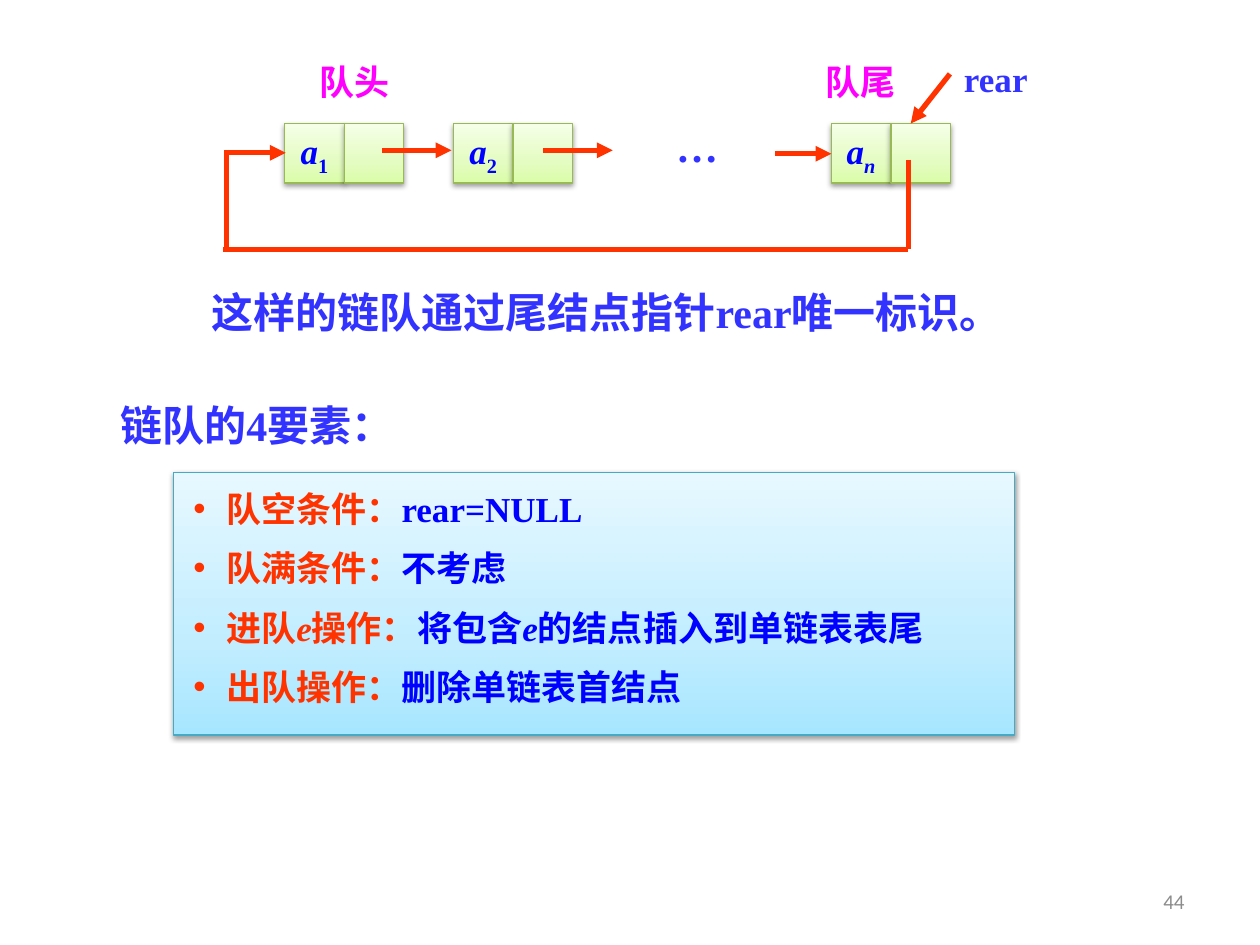
import pptx
import pptx.util
import pptx.oxml
import pptx.oxml.ns
from pptx.dml.color import RGBColor
from pptx.enum.shapes import MSO_CONNECTOR, MSO_SHAPE
from pptx.enum.text import MSO_ANCHOR, PP_ALIGN
from pptx.util import Cm, Pt

RED = RGBColor(0xFF, 0x33, 0x00)
BLUE = RGBColor(0x00, 0x00, 0xFF)
INDIGO = RGBColor(0x33, 0x33, 0xFF)
MAGENTA = RGBColor(0xFF, 0x00, 0xFF)
GRAY = RGBColor(0x8C, 0x8C, 0x8C)
GREEN_LINE = RGBColor(0x98, 0xB9, 0x55)
CYAN_LINE = RGBColor(0x46, 0xAA, 0xC5)
GREEN_STOPS = ("DAFDA7", "E4FCC2", "F5FFE7")
CYAN_STOPS = ("A7E6FF", "C1EDFF", "E7F8FF")
SERIF = "Times New Roman"

# All lengths are in centimetres.
CELL = 1.2
NODE_TOP = 2.49
NODES = [(5.74, "1", False), (9.14, "2", False), (16.76, "n", True)]

# start x, start y, end x, end y, arrowhead
LINKS = [
    (15.62, 3.1, 16.76, 3.1, True),
    (7.7, 3.03, 9.1, 3.03, True),
    (10.95, 3.03, 12.35, 3.03, True),
    (18.31, 3.22, 18.31, 5.01, False),
    (4.5, 5.03, 18.31, 5.03, False),
    (4.57, 3.02, 4.57, 5.05, False),
    (4.55, 3.08, 5.76, 3.08, True),
    (19.15, 1.49, 18.36, 2.49, True),
]

# text, left, top, width, height, size, colour, alignment
LABELS = [
    ("队头", 5.94, 1.09, 2.41, 1.1, 20, MAGENTA, PP_ALIGN.CENTER),
    ("队尾", 16.15, 1.09, 2.41, 1.1, 20, MAGENTA, PP_ALIGN.CENTER),
    ("rear", 18.97, 1.04, 2.21, 1.1, 20, INDIGO, PP_ALIGN.CENTER),
    ("…", 12.95, 2.31, 2.21, 1.28, 24, INDIGO, PP_ALIGN.CENTER),
    ("这样的链队通过尾结点指针rear唯一标识。", 3.23, 5.66, 18.0, 1.28, 24,
     INDIGO, PP_ALIGN.CENTER),
    ("链队的4要素：", 2.18, 7.92, 7.24, 1.28, 24, INDIGO, PP_ALIGN.LEFT),
]

# Each item is a list of (text, colour, italic).
ELEMENTS = [
    [(" 队空条件：", RED, False), ("rear=NULL", BLUE, False)],
    [(" 队满条件：", RED, False), ("不考虑", BLUE, False)],
    [(" 进队", RED, False), ("e", RED, True), ("操作：", RED, False),
     ("将包含", BLUE, False), ("e", BLUE, True),
     ("的结点插入到单链表表尾", BLUE, False)],
    [(" 出队操作：", RED, False), ("删除单链表首结点", BLUE, False)],
]


def parse_drawing(tag, content):
    namespace = pptx.oxml.ns.nsdecls("a")
    return pptx.oxml.parse_xml(f"<a:{tag} {namespace}>{content}</a:{tag}>")


def add_run(paragraph, text, size, color, italic=False, bold=True, name=SERIF):
    run = paragraph.add_run()
    run.text = text
    font = run.font
    font.name, font.size, font.bold, font.italic = name, Pt(size), bold, italic
    font.color.rgb = color
    return run


def add_panel(slide, left, top, width, height, stops, line_color):
    """Add a rectangle with a vertical gradient and a soft shadow below."""
    shape = slide.shapes.add_shape(
        MSO_SHAPE.RECTANGLE, Cm(left), Cm(top), Cm(width), Cm(height))
    shape.line.color.rgb = line_color
    shape.line.width = Pt(0.75)
    colors = "".join(
        f'<a:gs pos="{position}"><a:srgbClr val="{color}"/></a:gs>'
        for position, color in zip((0, 35000, 100000), stops))
    gradient = parse_drawing(
        "gradFill", f'<a:gsLst>{colors}</a:gsLst><a:lin ang="16200000" scaled="0"/>')
    shadow = parse_drawing(
        "effectLst",
        f'<a:outerShdw blurRad="{Pt(3.1)}" dist="{Pt(1.6)}" dir="5400000" '
        'rotWithShape="0"><a:srgbClr val="000000"><a:alpha val="38000"/>'
        '</a:srgbClr></a:outerShdw>')
    outline = shape.line._get_or_add_ln()
    outline.addprevious(gradient)
    outline.addnext(shadow)
    return shape


def add_node(slide, left, subscript, italic):
    """Add a data cell holding a with a subscript, and its pointer cell."""
    data, _ = [
        add_panel(slide, left + column * CELL, NODE_TOP, CELL, CELL,
                  GREEN_STOPS, GREEN_LINE)
        for column in range(2)]
    frame = data.text_frame
    frame.word_wrap = False
    frame.vertical_anchor = MSO_ANCHOR.MIDDLE
    paragraph = frame.paragraphs[0]
    paragraph.alignment = PP_ALIGN.CENTER
    add_run(paragraph, "a", 20, BLUE, italic=True)
    run = add_run(paragraph, subscript, 20, BLUE, italic=italic)
    run._r.get_or_add_rPr().set("baseline", "-25000")


def add_link(slide, start_x, start_y, end_x, end_y, arrow):
    connector = slide.shapes.add_connector(
        MSO_CONNECTOR.STRAIGHT, Cm(start_x), Cm(start_y), Cm(end_x), Cm(end_y))
    connector.line.color.rgb = RED
    connector.line.width = Pt(3)
    outline = connector.line._get_or_add_ln()
    if arrow:
        tail = parse_drawing("tailEnd", "")
        tail.set("type", "triangle")
        outline.append(tail)
    outline.addnext(parse_drawing("effectLst", ""))


def add_label(slide, text, left, top, width, height, size, color, alignment,
              **font):
    box = slide.shapes.add_textbox(Cm(left), Cm(top), Cm(width), Cm(height))
    box.text_frame.word_wrap = True
    paragraph = box.text_frame.paragraphs[0]
    paragraph.alignment = alignment
    add_run(paragraph, text, size, color, **font)
    return box


def add_elements(slide):
    panel = add_panel(slide, 3.5, 9.52, 16.95, 5.3, CYAN_STOPS, CYAN_LINE)
    frame = panel.text_frame
    frame.word_wrap = True
    frame.vertical_anchor = MSO_ANCHOR.TOP
    frame.margin_left = frame.margin_right = Cm(0.4)
    frame.margin_top = frame.margin_bottom = Cm(0.3)
    for index, pieces in enumerate(ELEMENTS):
        paragraph = frame.add_paragraph() if index else frame.paragraphs[0]
        paragraph.alignment = PP_ALIGN.LEFT
        if index:
            paragraph.space_before = Pt(10)
        properties = paragraph._p.get_or_add_pPr()
        properties.set("marL", str(Cm(0.5)))
        properties.set("indent", str(-Cm(0.5)))
        for tag, key, value in (("buFont", "typeface", "Arial"),
                                ("buChar", "char", "•")):
            bullet = parse_drawing(tag, "")
            bullet.set(key, value)
            properties.append(bullet)
        for text, color, italic in pieces:
            add_run(paragraph, text, 20, color, italic=italic)


def main():
    presentation = pptx.Presentation()
    presentation.slide_width, presentation.slide_height = Cm(25.4), Cm(19.05)
    slide = presentation.slides.add_slide(presentation.slide_layouts[6])
    add_elements(slide)
    for node in NODES:
        add_node(slide, *node)
    for link in LINKS:
        add_link(slide, *link)
    for label in LABELS:
        add_label(slide, *label)
    number = add_label(slide, "44", 18.2, 17.66, 5.93, 1.01, 12, GRAY,
                       PP_ALIGN.RIGHT, bold=False, name="Calibri")
    number.text_frame.vertical_anchor = MSO_ANCHOR.MIDDLE
    presentation.save("out.pptx")


if __name__ == "__main__":
    main()
